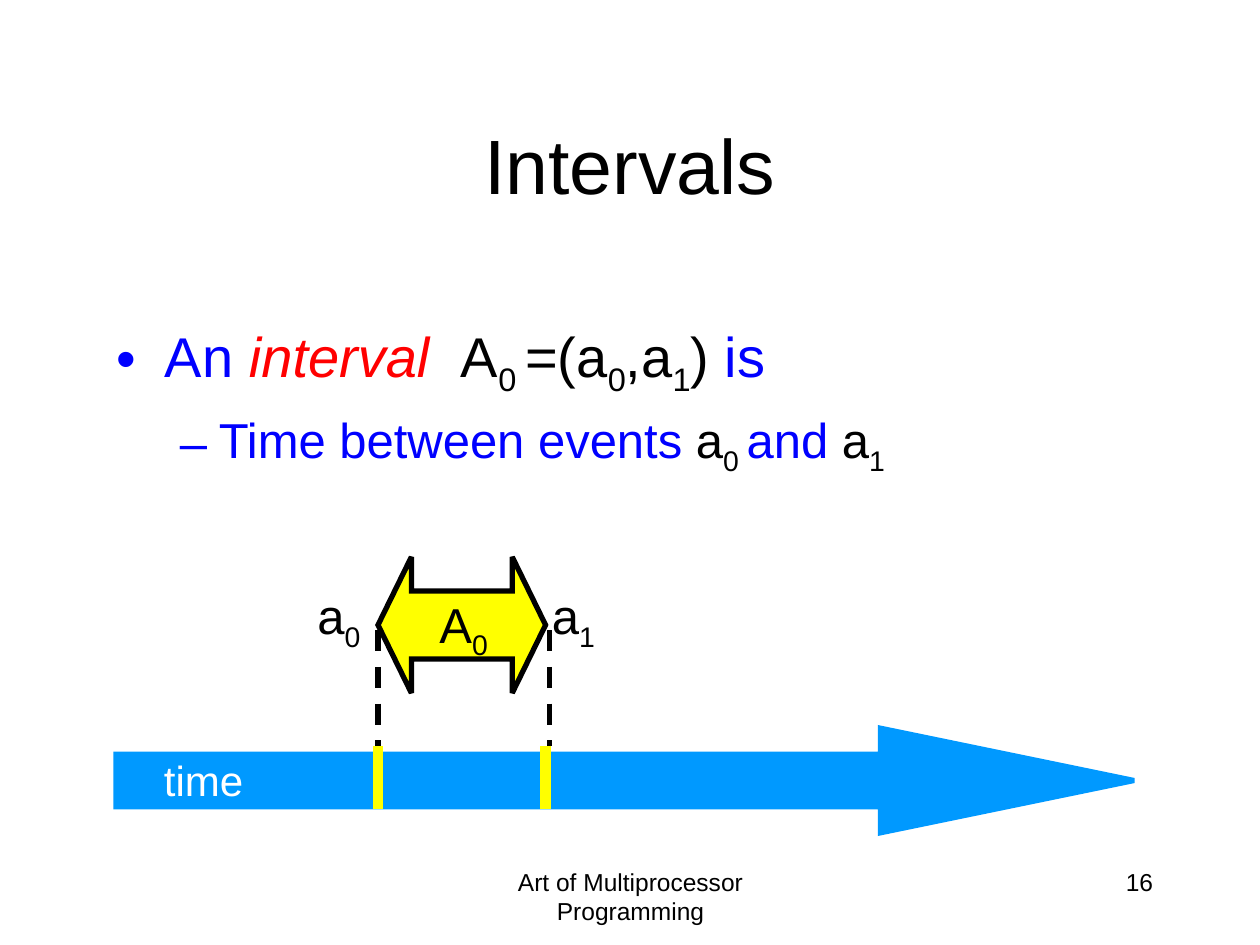
from lxml import etree
from pptx import Presentation
from pptx.dml.color import RGBColor
from pptx.enum.dml import MSO_LINE
from pptx.enum.shapes import MSO_CONNECTOR, MSO_SHAPE
from pptx.enum.text import MSO_ANCHOR, PP_ALIGN
from pptx.oxml.ns import qn
from pptx.util import Inches, Pt

BLACK = RGBColor(0, 0, 0)
WHITE = RGBColor(255, 255, 255)
BLUE = RGBColor(0, 0, 255)
RED = RGBColor(255, 0, 0)
YELLOW = RGBColor(255, 255, 0)
SKY = RGBColor(0, 0x99, 255)
CENTER, RIGHT, LEFT = PP_ALIGN.CENTER, PP_ALIGN.RIGHT, PP_ALIGN.LEFT
TOP, MIDDLE = MSO_ANCHOR.TOP, MSO_ANCHOR.MIDDLE
FONT = "Arial"

PLAIN, SUB, ITALIC = "plain", "sub", "italic"
BULLETS = [
    ("•", 0, 0.38, 0.38, 32, 0, [
        ("An ", BLUE, PLAIN), ("interval  ", RED, ITALIC),
        ("A", BLACK, PLAIN), ("0 ", BLACK, SUB), ("=(a", BLACK, PLAIN),
        ("0", BLACK, SUB), (",a", BLACK, PLAIN), ("1", BLACK, SUB),
        (")", BLACK, PLAIN), (" is", BLUE, PLAIN)]),
    ("–", 1, 0.81, 0.31, 28, 7, [
        ("Time between events ", BLUE, PLAIN), ("a", BLACK, PLAIN),
        ("0 ", BLACK, SUB), ("and ", BLUE, PLAIN),
        ("a", BLACK, PLAIN), ("1", BLACK, SUB)]),
]
FOOTERS = [
    ("Art of Multiprocessor Programming", (3.42, 6.83, 3.17, 0.5), CENTER),
    ("16", (7.17, 6.83, 2.08, 0.5), RIGHT),
]
EVENT_LABELS = [("a", "0", 2.96, 4.6), ("a", "1", 4.82, 4.6)]
INTERVAL_LABEL = ("A", "0", 3.97, 4.67)
LABEL_WIDTH, LABEL_HEIGHT = 0.8, 0.63
DASH_XS = (3, 4.36)
TICK_XS = (3, 4.33)
EVENT_TOP, TICK_TOP, TICK_BOTTOM = 5, 5.92, 6.42


def add_spans(para, spans, size):
    for text, color, style in spans:
        span = para.add_run()
        span.text = text
        font = span.font
        font.name, font.size = FONT, Pt(size)
        font.color.rgb = color
        if style == ITALIC:
            font.italic = True
        if style == SUB:
            span._r.get_or_add_rPr().set("baseline", "-25000")


def add_text(page, area, spans, size, align, wrap=True, anchor=TOP):
    box = page.shapes.add_textbox(*map(Inches, area))
    frame = box.text_frame
    frame.word_wrap = wrap
    frame.vertical_anchor = anchor
    para = frame.paragraphs[0]
    para.alignment = align
    add_spans(para, spans, size)
    return frame


def add_label(page, letter, index, right, top):
    spans = [(letter, BLACK, PLAIN), (index, BLACK, SUB)]
    area = (right - LABEL_WIDTH, top, LABEL_WIDTH, LABEL_HEIGHT)
    add_text(page, area, spans, 28, RIGHT, wrap=False)


def add_bullets(page, area):
    frame = add_text(page, area, [], 32, LEFT)
    for number, (mark, level, margin, hang, size, before, spans) in enumerate(BULLETS):
        para = frame.add_paragraph() if number else frame.paragraphs[0]
        para.level = level
        para.space_before = Pt(before)
        props = para._p.get_or_add_pPr()
        props.set("marL", str(Inches(margin)))
        props.set("indent", str(-Inches(hang)))
        color = etree.SubElement(props, qn("a:buClr"))
        etree.SubElement(color, qn("a:srgbClr")).set("val", str(BLUE))
        etree.SubElement(props, qn("a:buFont")).set("typeface", FONT)
        etree.SubElement(props, qn("a:buChar")).set("char", mark)
        add_spans(para, spans, size)


def add_arrow(page, kind, area, adjustments, fill, line):
    arrow = page.shapes.add_shape(kind, *map(Inches, area))
    arrow.shadow.inherit = False
    for number, value in enumerate(adjustments):
        arrow.adjustments[number] = value
    arrow.fill.solid()
    arrow.fill.fore_color.rgb = fill
    arrow.line.color.rgb = line
    arrow.line.width = Pt(3)
    outline = arrow._element.spPr.find(qn("a:ln"))
    etree.SubElement(outline, qn("a:miter")).set("lim", "800000")
    return arrow


def add_vertical(page, x, top, bottom, color, width, dash=None):
    rule = page.shapes.add_connector(
        MSO_CONNECTOR.STRAIGHT, Inches(x), Inches(top), Inches(x), Inches(bottom))
    rule.line.color.rgb = color
    rule.line.width = Pt(width)
    if dash:
        rule.line.dash_style = dash
    etree.SubElement(rule._element.spPr, qn("a:effectLst"))


def main():
    deck = Presentation()
    deck.slide_width, deck.slide_height = Inches(10), Inches(7.5)
    page = deck.slides.add_slide(deck.slide_layouts[6])

    for text, area, align in FOOTERS:
        add_text(page, area, [(text, BLACK, PLAIN)], 14, align)
    add_arrow(page, MSO_SHAPE.RIGHT_ARROW, (0.92, 5.78, 8.08, 0.83),
              (0.5, 2.425), SKY, SKY)
    add_text(page, (1.2, 5.94, 0.83, 0.5), [("time", WHITE, PLAIN)], 24,
             RIGHT, wrap=False)
    add_bullets(page, (0.83, 2.5, 8.5, 3.58))
    for x, label in zip(DASH_XS, EVENT_LABELS):
        add_vertical(page, x, EVENT_TOP, TICK_TOP, BLACK, 3, MSO_LINE.DASH)
        add_label(page, *label)
    interval = add_arrow(page, MSO_SHAPE.LEFT_RIGHT_ARROW, (3, 4.42, 1.33, 1.08),
                         (0.5, 0.245), YELLOW, BLACK)
    interval.rotation = 180
    add_text(page, (0.75, 0.67, 8.5, 1.25), [("Intervals", BLACK, PLAIN)], 44,
             CENTER, anchor=MIDDLE)
    add_label(page, *INTERVAL_LABEL)
    for x in TICK_XS:
        add_vertical(page, x, TICK_TOP, TICK_BOTTOM, YELLOW, 6)

    deck.save("out.pptx")


if __name__ == "__main__":
    main()
